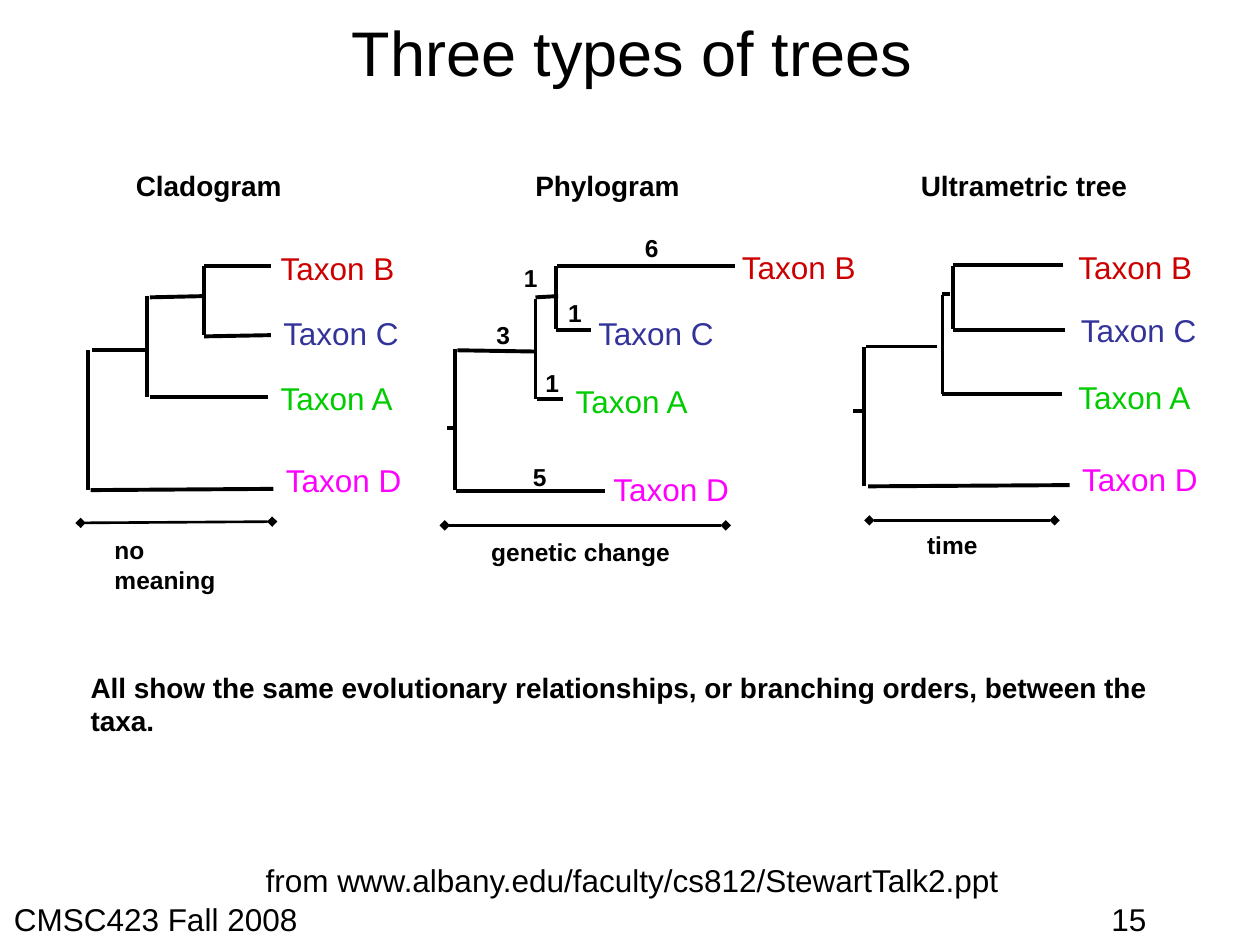
from dataclasses import dataclass

from lxml import etree
from pptx import Presentation
from pptx.dml.color import RGBColor
from pptx.enum.shapes import MSO_CONNECTOR
from pptx.enum.text import MSO_ANCHOR, MSO_AUTO_SIZE, PP_ALIGN
from pptx.oxml.ns import qn
from pptx.util import Inches, Pt

STRAIGHT = MSO_CONNECTOR.STRAIGHT
TOP, MIDDLE = MSO_ANCHOR.TOP, MSO_ANCHOR.MIDDLE
GROW, FIXED = MSO_AUTO_SIZE.SHAPE_TO_FIT_TEXT, MSO_AUTO_SIZE.NONE
LEFT, CENTER = PP_ALIGN.LEFT, PP_ALIGN.CENTER


@dataclass(frozen=True)
class Theme:
    font: str = "Arial"
    black: str = "000000"
    title: int = 36
    body: int = 18
    heading: int = 16
    label: int = 14
    branch_width: float = 2.25
    scale_width: float = 1.5


THEME = Theme()
TAXON_COLORS = {"A": "00CC00", "B": "CC0000", "C": "333399", "D": "FF00FF"}

# Each tree: branches (x1, y1, x2, y2), taxon label corners, scale bar,
# caption (text, left, top, width, height, wrap)
CLADOGRAM = {
    "branches": [
        (2.15, 2.11, 1.62, 2.11), (2.15, 2.66, 1.62, 2.67),
        (1.62, 2.11, 1.62, 2.66), (1.19, 2.36, 1.62, 2.35),
        (1.17, 2.35, 1.17, 3.15), (1.19, 3.15, 2.13, 3.15),
        (1.16, 2.78, 0.73, 2.78), (2.17, 3.88, 0.72, 3.89),
        (0.7, 2.78, 0.7, 3.89),
    ],
    "taxa": {"A": (2.13, 2.96), "B": (2.13, 1.93),
             "C": (2.15, 2.44), "D": (2.17, 3.61)},
    "scale": (0.64, 4.15, 2.16, 4.14),
    "caption": ("no meaning", 0.81, 4.2, 1.29, 0.57, True),
}
PHYLOGRAM = {
    "branches": [
        (5.83, 2.11, 4.42, 2.11), (4.69, 2.62, 4.41, 2.62),
        (4.41, 2.11, 4.41, 2.61), (4.25, 2.36, 4.43, 2.35),
        (4.47, 3.17, 4.26, 3.17), (4.25, 2.37, 4.25, 3.17),
        (4.24, 2.79, 3.63, 2.78), (4.8, 3.9, 3.62, 3.9),
        (3.61, 2.77, 3.61, 3.89), (3.55, 3.4, 3.61, 3.4),
    ],
    "taxa": {"A": (4.47, 2.98), "B": (5.79, 1.92),
             "C": (4.65, 2.44), "D": (4.77, 3.68)},
    "scale": (3.53, 4.17, 5.76, 4.17),
    "caption": ("genetic change", 3.8, 4.21, 1.99, 0.34, True),
}
ULTRAMETRIC = {
    "branches": [
        (8.44, 2.1, 7.56, 2.1), (8.45, 2.62, 7.56, 2.62),
        (7.56, 2.11, 7.56, 2.61), (7.48, 2.33, 7.54, 2.33),
        (8.43, 3.13, 7.48, 3.13), (7.48, 2.34, 7.48, 3.13),
        (7.44, 2.75, 6.87, 2.75), (8.49, 3.85, 6.89, 3.86),
        (6.86, 2.75, 6.86, 3.86), (6.77, 3.26, 6.84, 3.26),
    ],
    "taxa": {"A": (8.46, 2.95), "B": (8.46, 1.92),
             "C": (8.48, 2.42), "D": (8.49, 3.6)},
    "scale": (6.9, 4.13, 8.37, 4.13),
    "caption": ("time", 7.26, 4.16, 0.6, 0.34, False),
}
# Branch lengths of the phylogram: text, left, top
BRANCH_LENGTHS = [("1", 4.41, 2.32), ("1", 4.06, 2.04), ("1", 4.23, 2.87),
                  ("6", 5.02, 1.8), ("3", 3.84, 2.49), ("5", 4.13, 3.62)]


def format_text(shape, text, size, color=THEME.black, bold=False, wrap=True,
                inset=(0.1, 0.05), anchor=TOP, align=LEFT, auto_size=GROW):
    frame = shape.text_frame
    horizontal, vertical = map(Inches, inset)
    frame_format = {
        "margin_left": horizontal, "margin_right": horizontal,
        "margin_top": vertical, "margin_bottom": vertical,
        "word_wrap": wrap, "vertical_anchor": anchor, "auto_size": auto_size,
    }
    for name, value in frame_format.items():
        setattr(frame, name, value)
    paragraph = frame.paragraphs[0]
    paragraph.alignment = align
    run = paragraph.add_run()
    run.text = text
    font_format = {"name": THEME.font, "size": Pt(size), "bold": bold}
    for name, value in font_format.items():
        setattr(run.font, name, value)
    run.font.color.rgb = RGBColor.from_string(color)


def add_text(slide, text, box, size, **options):
    shape = slide.shapes.add_textbox(*map(Inches, box))
    format_text(shape, text, size, **options)
    return shape


def add_line(slide, ends, width, diamonds=False):
    connector = slide.shapes.add_connector(STRAIGHT, *map(Inches, ends))
    connector.line.color.rgb = RGBColor.from_string(THEME.black)
    connector.line.width = Pt(width)
    if diamonds:
        line = connector.line._get_or_add_ln()
        for end in ("a:headEnd", "a:tailEnd"):
            etree.SubElement(line, qn(end), type="diamond")
    etree.SubElement(connector._element.spPr, qn("a:effectLst"))


def add_tree(slide, tree):
    for branch in tree["branches"]:
        add_line(slide, branch, THEME.branch_width)
    for taxon, (left, top) in tree["taxa"].items():
        add_text(slide, f"Taxon {taxon}", (left, top, 1.13, 0.4), THEME.body,
                 color=TAXON_COLORS[taxon], wrap=False)
    add_line(slide, tree["scale"], THEME.scale_width, diamonds=True)
    text, *box, wrap = tree["caption"]
    add_text(slide, text, box, THEME.label, bold=True, wrap=wrap)


def add_headings(slide):
    shape = add_text(slide, "Cladogram\tPhylogram\tUltrametric tree",
                     (0.98, 1.29, 8.17, 0.37), THEME.heading, bold=True)
    properties = shape.text_frame.paragraphs[0]._p.get_or_add_pPr()
    tab_list = etree.SubElement(properties, qn("a:tabLst"))
    for position in (3.17, 6.23):
        etree.SubElement(tab_list, qn("a:tab"),
                         pos=str(Inches(position)), algn="l")


def add_title(slide, text):
    title = slide.shapes.title
    place = {"left": 0.13, "top": 0.06, "width": 9.77, "height": 0.7}
    for name, value in place.items():
        setattr(title, name, Inches(value))
    format_text(title, text, THEME.title, inset=(0, 0),
                anchor=MIDDLE, align=CENTER)


def main():
    presentation = Presentation()
    presentation.slide_width = Inches(10)
    presentation.slide_height = Inches(7.5)
    slide = presentation.slides.add_slide(presentation.slide_layouts[5])

    # Title and column headings
    add_title(slide, "Three types of trees")
    add_headings(slide)

    # The three trees
    for tree in (CLADOGRAM, PHYLOGRAM, ULTRAMETRIC):
        add_tree(slide, tree)
    for text, left, top in BRANCH_LENGTHS:
        add_text(slide, text, (left, top, 0.32, 0.34), THEME.label, bold=True)

    # Conclusion and source
    add_text(slide, "All show the same evolutionary relationships, "
             "or branching orders, between the taxa.",
             (0.62, 5.27, 9.15, 0.37), THEME.heading, bold=True, wrap=False)
    add_text(slide, "from www.albany.edu/faculty/cs812/StewartTalk2.ppt",
             (2.01, 6.78, 6.14, 0.4), THEME.body, wrap=False, anchor=MIDDLE)

    # Footer
    for text, left, width in (("CMSC423 Fall 2008", 0.11, 8.71),
                              ("15", 8.82, 1.08)):
        add_text(slide, text, (left, 7.14, width, 0.36), THEME.body,
                 inset=(0, 0), auto_size=FIXED)

    presentation.save("out.pptx")


if __name__ == "__main__":
    main()
